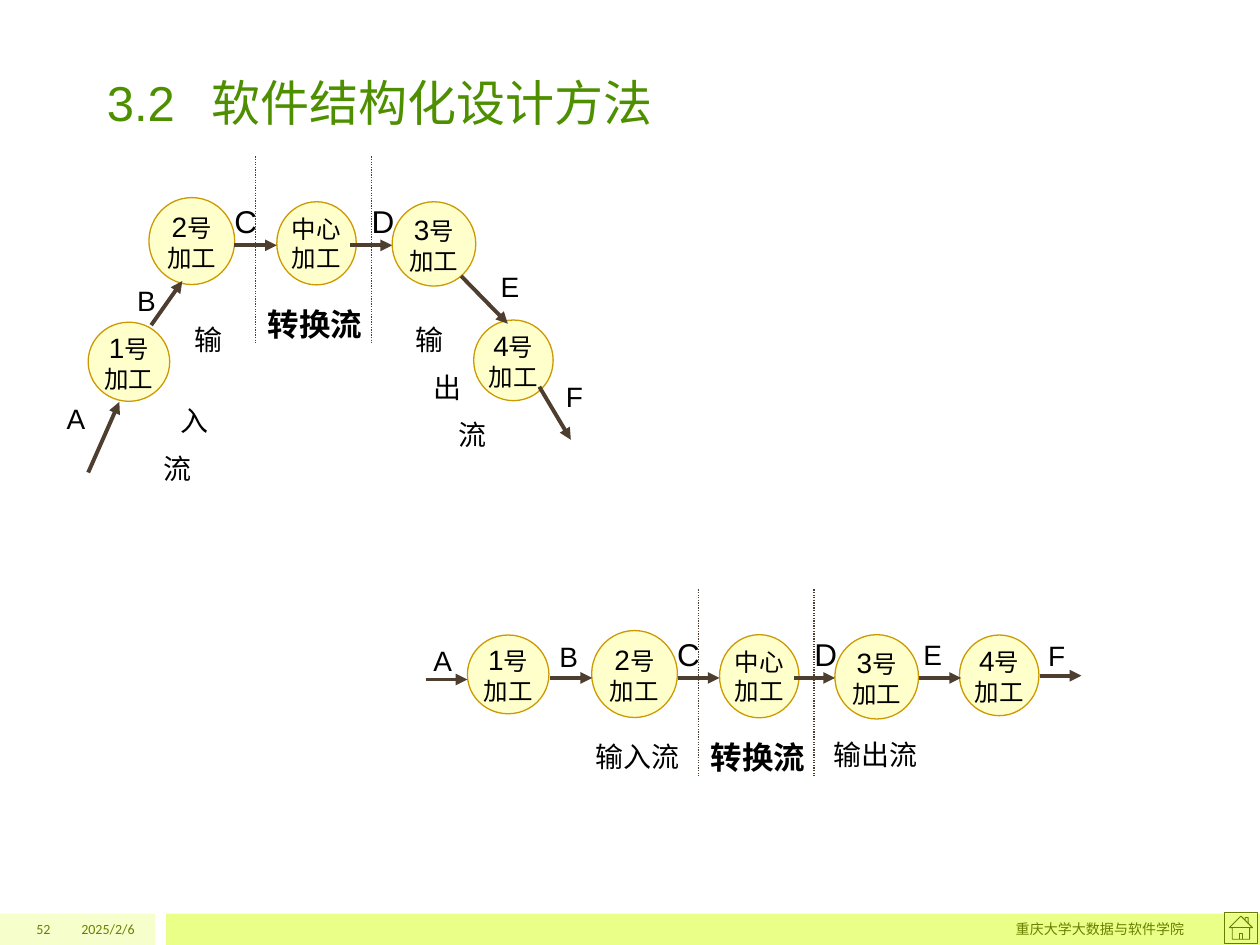
"""Build the slide on structured software design: a data flow drawn as an arch and as a row."""
from pptx import Presentation
from pptx.dml.color import RGBColor
from pptx.enum.dml import MSO_LINE
from pptx.enum.shapes import MSO_CONNECTOR, MSO_SHAPE
from pptx.enum.text import MSO_ANCHOR, PP_ALIGN
from pptx.oxml.ns import qn
from pptx.util import Pt
from lxml.etree import SubElement

HUES = {"title": "4E8F00", "pale": "F6FFCC", "lime": "E9FF88", "olive": "677E00",
        "foot": "688000", "disc": "FFFFCC", "rim": "CC9900", "arrow": "4D3E2F", "ink": "000000"}
RGB = {name: RGBColor.from_string(code) for name, code in HUES.items()}

deck = Presentation()
deck.slide_width, deck.slide_height = Pt(720), Pt(540)
slide = deck.slides.add_slide(deck.slide_layouts[6])
shapes = slide.shapes


def write(text, left, top, width, height, size=16, hue="ink", face="Arial"):
    box = shapes.add_textbox(Pt(left), Pt(top), Pt(width), Pt(height))
    frame = box.text_frame
    frame.word_wrap = True
    frame.text = text
    for para in frame.paragraphs:
        for run in para.runs:
            run.font.size, run.font.name = Pt(size), face
            run.font.color.rgb = RGB[hue]
    return frame


def stroke(start, end, weight=2.25, dotted=False):
    line = shapes.add_connector(MSO_CONNECTOR.STRAIGHT, *[Pt(n) for n in start + end])
    line.line.color.rgb = RGB["arrow"]
    line.line.width = Pt(weight)
    if dotted:
        line.line.dash_style = MSO_LINE.ROUND_DOT
    else:
        SubElement(line.line._ln, qn("a:tailEnd"), type="triangle")
    SubElement(line._element.spPr, qn("a:effectLst"))


for kind, hue, left, top, width, height in [
    (MSO_SHAPE.RECTANGLE, "pale", 0, 522, 88.6, 18),
    (MSO_SHAPE.RECTANGLE, "lime", 95, 522, 625, 18),
    (MSO_SHAPE.ACTION_BUTTON_HOME, None, 699.8, 521.3, 18.7, 17.7),
]:
    shape = shapes.add_shape(kind, Pt(left), Pt(top), Pt(width), Pt(height))
    shape.shadow.inherit = False
    if hue:
        shape.fill.solid()
        shape.fill.fore_color.rgb = RGB[hue]
        shape.line.fill.background()
    else:
        shape.fill.background()
        shape.line.color.rgb = RGB["olive"]
        shape.line.width = Pt(0.5)

title = write("3.2\t软件结构化设计方法", 54, 27.4, 612.7, 51.1, 28, "title")
title.vertical_anchor = MSO_ANCHOR.BOTTOM
tabs = SubElement(title.paragraphs[0]._p.get_or_add_pPr(), qn("a:tabLst"))
SubElement(tabs, qn("a:tab"), pos=str(Pt(60)), algn="l")

for text, left, width in [("2025/2/6", 36, 48.2), ("重庆大学大数据与软件学院", 144, 540), ("52", 0, 36)]:
    foot = write(text, left, 522, width, 18, 8, "foot", "Calibri")
    foot.vertical_anchor = MSO_ANCHOR.MIDDLE
    foot.paragraphs[0].alignment = PP_ALIGN.RIGHT

discs = [("1", 50.4, 184.1, 46.6, 45.2), ("4", 270.7, 182.9, 45.4, 46.1),
         ("1", 267.1, 362.9, 46.6, 45), ("4", 548.3, 362.9, 45.4, 46.1)]
for dx, dy in [(0, 0), (253, 247.4)]:
    for text, left in [("C", 126.9), ("D", 205.3)]:
        write(text, left + dx, 112.2 + dy, 40, 28.8, 18)
    for left in (146.2, 212.2):
        stroke((left + dx, 89.4 + dy), (left + dx, 195.8 + dy), 0.75, True)
    core = write("转换流", 146 + dx, 170.6 + dy, 78, 28.8, 18)
    core.paragraphs[0].runs[0].font.bold = True
    discs += [("2", 85.1 + dx, 112.9 + dy, 49, 49.7),
              ("中心", 158.2 + dx, 115.3 + dy, 45.4, 47.5),
              ("3", 224.1 + dx, 115.3 + dy, 47.8, 48.2)]

for name, left, top, width, height in discs:
    disc = shapes.add_shape(MSO_SHAPE.OVAL, Pt(left), Pt(top), Pt(width), Pt(height))
    disc.shadow.inherit = False
    disc.fill.solid()
    disc.fill.fore_color.rgb = RGB["disc"]
    disc.line.color.rgb = RGB["rim"]
    disc.line.width = Pt(0.75)
    frame = disc.text_frame
    frame.word_wrap = False
    frame.vertical_anchor = MSO_ANCHOR.MIDDLE
    frame.text = name + "\n加工"
    if name.isdigit():
        frame.paragraphs[0].add_run().text = "号"
    for para in frame.paragraphs:
        para.alignment = PP_ALIGN.CENTER
        for run in para.runs:
            run.font.size = Pt(16 if run.text.isdigit() else 14)
            run.font.name = "Arial"
            run.font.color.rgb = RGB["ink"]

for start, end in [
    ((50.4, 270), (68.2, 229.7)), ((86.4, 185.8), (104.2, 160.6)),
    ((133.9, 140.2), (158.2, 140.2)), ((200.2, 140.2), (224.1, 140.2)),
    ((263.5, 157.7), (290.2, 185)), ((308.2, 221), (326.2, 251.3)),
    ((243.4, 388.3), (267.1, 388.3)), ((314.4, 387.4), (338.4, 387.4)),
    ((387.4, 387.4), (411.2, 387.4)), ((453.6, 387.4), (477.2, 387.4)),
    ((525.1, 387.4), (549.2, 387.4)), ((594, 386.1), (618, 386.1)),
]:
    stroke(start, end)

for text, left, top in [
    ("A", 31, 226.1), ("B", 71.2, 158.4), ("E", 279, 150.3), ("F", 316.3, 213.3),
    ("A", 240.5, 364.3), ("B", 312.5, 361.7), ("E", 520.5, 360.7), ("F", 591.8, 361.5),
]:
    write(text, left, top, 40, 26.6)

for text, left, top in [("输入流", 333.2, 419), ("输出流", 469.2, 417.9)]:
    write(text, left, top, 78, 26.6)

for text, left, gaps, dents in [
    ("输\n入\n流", 86.2, (0, 27, 8), (18, 10, 0)),
    ("输\n出\n流", 230.4, (0, 8, 8), (0, 10, 24.5)),
]:
    frame = write(text, left, 180.9, 84, 85)
    for para, gap, dent in zip(frame.paragraphs, gaps, dents):
        para._p.get_or_add_pPr().set("marL", str(Pt(dent)))
        if gap:
            para.space_before = Pt(gap)

deck.save("out.pptx")
